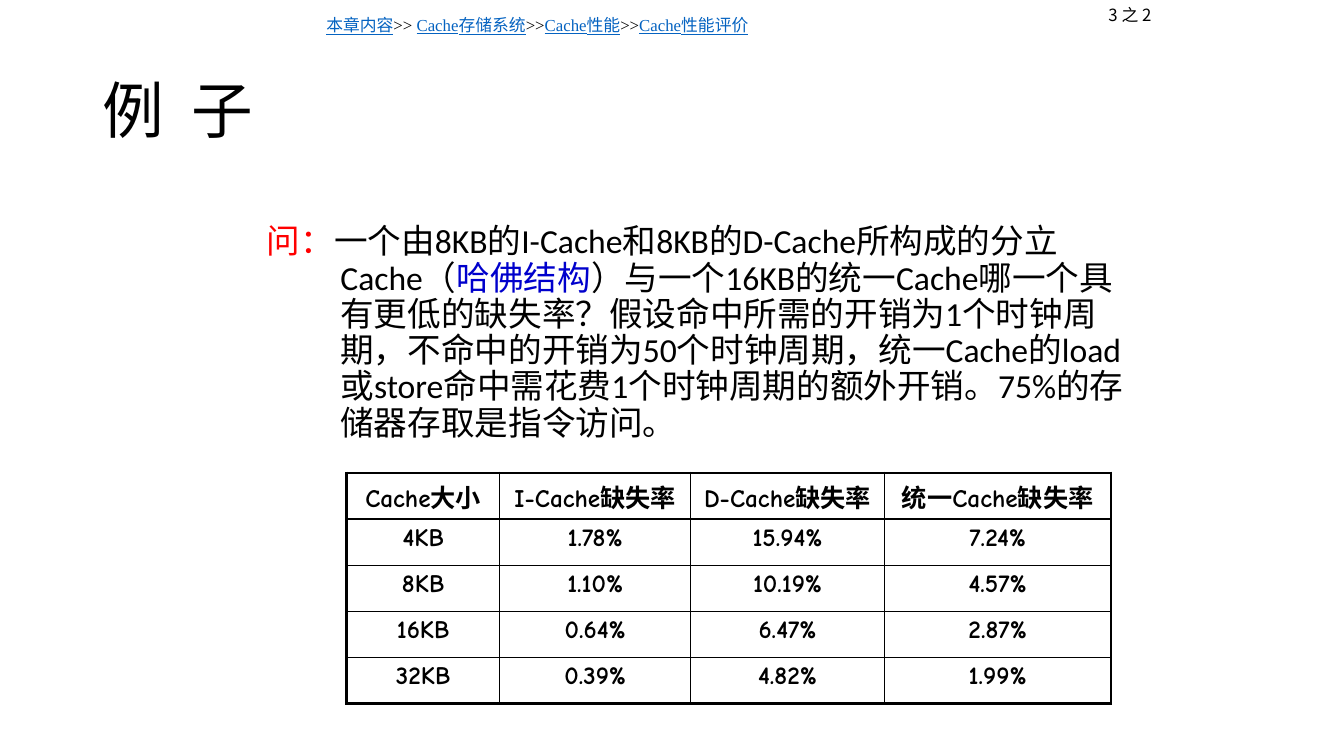
from lxml.etree import SubElement
from pptx import Presentation
from pptx.dml.color import RGBColor
from pptx.enum.text import MSO_ANCHOR, PP_ALIGN
from pptx.oxml.ns import qn
from pptx.util import Pt

BLACK, LINK, RED, BLUE = "000000", "0563C1", "FF0000", "0000CC"


def color(hex_string):
    return RGBColor.from_string(hex_string)


def write(frame, runs, size, font):
    """Fill the first paragraph with (text, colour) runs; links are underlined."""
    frame.word_wrap = True
    paragraph = frame.paragraphs[0]
    paragraph.font.size = Pt(size)
    paragraph.font.name = font
    for text, run_color in runs:
        run = paragraph.add_run()
        run.text = text
        run.font.color.rgb = color(run_color)
        run.font.underline = run_color == LINK
        # Chinese glyphs come from the East Asian font slot
        SubElement(run.font._element, qn("a:ea"), typeface="Noto Sans CJK SC")
    return paragraph


presentation = Presentation()
presentation.slide_width, presentation.slide_height = Pt(960), Pt(540)
slide = presentation.slides.add_slide(presentation.slide_layouts[6])
shapes = slide.shapes

# Title
title = shapes.add_textbox(Pt(66), Pt(28.8), Pt(828), Pt(104.4)).text_frame
title.vertical_anchor = MSO_ANCHOR.MIDDLE
write(title, [("例  子", BLACK)], 44, "Calibri").line_spacing = 0.9

# Breadcrumb
breadcrumb = shapes.add_textbox(Pt(226), Pt(7.2), Pt(596), Pt(21.8)).text_frame
write(breadcrumb, [
    ("本章内容", LINK), (">> ", BLACK),
    ("Cache存储系统", LINK), (">>", BLACK),
    ("Cache性能", LINK), (">>", BLACK),
    ("Cache性能评价", LINK),
], 12, "Times New Roman").space_before = Pt(6)

# Question
question = shapes.add_textbox(Pt(183.6), Pt(157), Pt(626.4), Pt(341.3)).text_frame
question_paragraph = write(question, [
    ("问：", RED),
    ("一个由8KB的I-Cache和8KB的D-Cache所构成的分立Cache（", BLACK),
    ("哈佛结构", BLUE),
    ("）与一个16KB的统一Cache哪一个具有更低的缺失率？假设命中所需的开销为1个时钟周期，"
     "不命中的开销为50个时钟周期，统一Cache的load或store命中需花费1个时钟周期的额外开销。"
     "75%的存储器存取是指令访问。", BLACK),
], 24, "Calibri")
question_paragraph.line_spacing = 0.9
question_paragraph.space_before = Pt(10)
indent = Pt(52.5)
question_paragraph._p.get_or_add_pPr().set("marL", str(indent))
question_paragraph._p.get_or_add_pPr().set("indent", str(-indent))

# Miss rates by cache size
miss_rates = [
    ["Cache大小", "I-Cache缺失率", "D-Cache缺失率", "统一Cache缺失率"],
    ["4KB", "1.78%", "15.94%", "7.24%"],
    ["8KB", "1.10%", "10.19%", "4.57%"],
    ["16KB", "0.64%", "6.47%", "2.87%"],
    ["32KB", "0.39%", "4.82%", "1.99%"],
]
column_widths = [109.2, 136.6, 138.2, 162]
row_height = 32.9
last_row, last_column = len(miss_rates) - 1, len(column_widths) - 1
table = shapes.add_table(
    len(miss_rates), len(column_widths), Pt(247.7), Pt(337.9),
    Pt(sum(column_widths)), Pt(row_height * len(miss_rates))).table
for column, width in zip(table.columns, column_widths):
    column.width = Pt(width)

for row_index, rates in enumerate(miss_rates):
    table.rows[row_index].height = Pt(row_height)
    for column_index, rate in enumerate(rates):
        cell = table.cell(row_index, column_index)
        cell.margin_left = cell.margin_right = 0
        cell.margin_top = cell.margin_bottom = Pt(3.6)
        cell_paragraph = write(cell.text_frame, [(rate, BLACK)], 18, "Comic Neue")
        cell_paragraph.font.bold = True
        cell_paragraph.alignment = PP_ALIGN.CENTER
        cell_paragraph.space_before = Pt(3.6)
        # Borders must precede the fill: thick outside, thin inside
        outer_edges = {
            "a:lnL": column_index == 0,
            "a:lnR": column_index == last_column,
            "a:lnT": row_index == 0,
            "a:lnB": row_index == last_row,
        }
        for edge, is_outer in outer_edges.items():
            border = SubElement(cell._tc.get_or_add_tcPr(), qn(edge),
                                w=str(Pt(2.25 if is_outer else 1)))
            border_fill = SubElement(border, qn("a:solidFill"))
            SubElement(border_fill, qn("a:srgbClr"), val=BLACK)
        cell.fill.background()

# Page counter
counter = shapes.add_textbox(Pt(774), Pt(0), Pt(66.2), Pt(21.8)).text_frame
counter_paragraph = write(counter, [("3 之 2", BLACK)], 12, "Noto Sans CJK SC")
counter_paragraph.alignment = PP_ALIGN.CENTER
counter_paragraph.space_before = Pt(6)

presentation.save("out.pptx")
